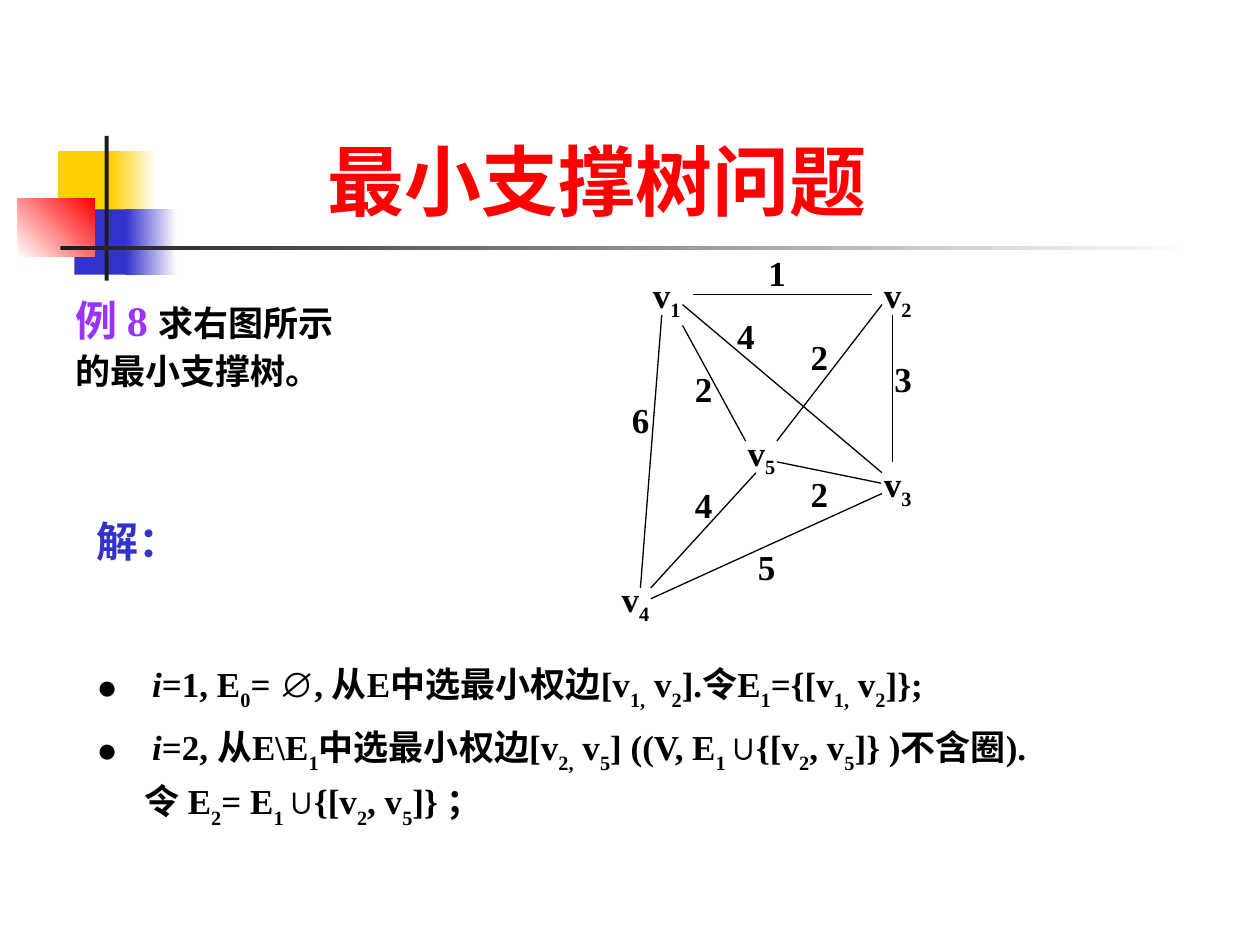
import pptx
import pptx.dml.color
import pptx.enum.shapes
import pptx.enum.text
import pptx.util
from lxml import etree
from pptx.oxml.ns import qn

Cm = pptx.util.Cm
BLACK, YELLOW, BLUE, RED, DARK, WHITE = (
    "000000", "FFCF01", "3333CC", "FF0000", "1C1C1C", "FFFFFF")
PURPLE = "9933FF"
LABEL_SIZE = (1.6, 1.52)

ORNAMENTS = [
    ((1.17, 3.05, 1.22, 1.32), [YELLOW], 0),
    ((2.24, 3.05, 0.91, 1.32), [YELLOW, WHITE], 0),
    ((1.5, 4.22, 1.17, 1.32), [BLUE], 0),
    ((2.54, 4.22, 1.02, 1.32), [BLUE, WHITE], 0),
    ((0.36, 4.01, 1.55, 1.17), [WHITE, RED], 45),
    ((2.11, 2.74, 0.08, 2.92), [DARK], 0),
    ((1.22, 4.95, 22.86, 0.09), [DARK, WHITE], 0),
]

VERTICES = [
    ("1", (12.91, 5.29)),
    ("2", (17.57, 5.29)),
    ("3", (17.57, 9.1)),
    ("4", (12.28, 11.43)),
    ("5", (14.82, 8.47)),
]

EDGES = [
    ("1", (15.24, 4.87), (13.97, 5.93), (17.57, 5.93)),
    ("2", (13.76, 7.2), (13.76, 6.56), (15.03, 8.89)),
    ("3", (17.78, 6.99), (17.99, 6.35), (17.99, 9.31)),
    ("2", (16.09, 9.31), (15.66, 9.31), (17.76, 9.74)),
    ("2", (16.09, 6.56), (17.78, 6.14), (15.66, 8.89)),
    ("6", (12.49, 7.83), (13.34, 6.35), (12.91, 11.85)),
    ("5", (15.03, 10.79), (13.12, 12.07), (17.78, 9.95)),
    ("4", (14.61, 6.14), (13.76, 6.14), (17.78, 9.53)),
    ("4", (13.76, 9.53), (15.24, 9.53), (13.12, 11.85)),
]

ITALIC = {"italic": True}
SUB = {"baseline": -30}
SYMBOL = {"font": "Arial"}

STEP_ONE = [
    ("i", ITALIC), ("=1, E", {}), ("0", SUB), ("= ", {}), ("∅", SYMBOL),
    (", 从E中选最小权边[v", {}), ("1,", SUB), (" v", {}), ("2", SUB),
    ("].令E", {}), ("1", SUB), ("={[v", {}), ("1,", SUB), (" v", {}),
    ("2", SUB), ("]};", {}),
]
UNION = [
    ("1 ", SUB), ("∪", SYMBOL), ("{[v", {}), ("2", SUB), (", v", {}), ("5", SUB),
]
STEP_TWO = [
    ("i", ITALIC), ("=2, 从E\\E", {}), ("1", SUB), ("中选最小权边[v", {}),
    ("2,", SUB), (" v", {}), ("5", SUB), ("] ((V, E", {}),
    *UNION, ("]} )不含圈).", {}),
]
STEP_TWO_RESULT = [("令 E", {}), ("2", SUB), ("= E", {}), *UNION, ("]} ；", {})]


def color(hex_string):
    return pptx.dml.color.RGBColor.from_string(hex_string)


def add_ornament(slide, bounds, colors, angle):
    ornament = slide.shapes.add_shape(
        pptx.enum.shapes.MSO_SHAPE.RECTANGLE, *map(Cm, bounds))
    ornament.shadow.inherit = False
    ornament.line.fill.background()
    if len(colors) == 1:
        ornament.fill.solid()
        ornament.fill.fore_color.rgb = color(colors[0])
        return
    ornament.fill.gradient()
    ornament.fill.gradient_angle = angle
    for stop, hex_string in zip(ornament.fill.gradient_stops, colors):
        stop.color.rgb = color(hex_string)


def format_run(run, size=20, fill=BLACK, font="Times New Roman",
               italic=False, baseline=0):
    run.font.size = pptx.util.Pt(size)
    run.font.bold = True
    run.font.italic = italic
    run.font.name = font
    run.font.color.rgb = color(fill)
    if baseline:
        run.font._element.set("baseline", str(baseline * 1000))


def add_text(shapes, bounds, paragraphs, spacing=1.1):
    frame = shapes.add_textbox(*map(Cm, bounds)).text_frame
    frame.word_wrap = True
    for index, pieces in enumerate(paragraphs):
        paragraph = frame.add_paragraph() if index else frame.paragraphs[0]
        paragraph.line_spacing = spacing
        for words, style in pieces:
            run = paragraph.add_run()
            run.text = words
            format_run(run, **style)
    return frame


def set_indent(paragraph, left, bullet=None):
    properties = paragraph._p.get_or_add_pPr()
    properties.set("marL", str(Cm(left)))
    if bullet:
        properties.set("indent", str(-Cm(left)))
        etree.SubElement(properties, qn("a:buFont"), typeface="Arial")
        etree.SubElement(properties, qn("a:buChar"), char=bullet)


def add_edge(shapes, start, end):
    edge = shapes.add_connector(
        pptx.enum.shapes.MSO_CONNECTOR.STRAIGHT, *map(Cm, start + end))
    edge.line.color.rgb = color(BLACK)
    edge.line.width = pptx.util.Pt(0.75)
    etree.SubElement(edge._element.spPr, qn("a:effectLst"))


def add_graph(slide):
    graph = slide.shapes.add_group_shape().shapes
    for weight, place, start, end in EDGES:
        add_edge(graph, start, end)
        add_text(graph, place + LABEL_SIZE, [[(weight, {})]])
    for number, place in VERTICES:
        add_text(graph, place + LABEL_SIZE,
                 [[("v", {}), (number, {"baseline": -25})]])


def add_title(slide):
    title = add_text(slide.shapes, (6.35, 2.11, 12.27, 2.57),
                     [[("最小支撑树问题", {"size": 44, "fill": RED})]], 1.0)
    title.vertical_anchor = pptx.enum.text.MSO_ANCHOR.BOTTOM


def add_steps(slide):
    first = add_text(slide.shapes, (1.7, 13.13, 22.5, 1.7), [STEP_ONE])
    second = add_text(slide.shapes, (1.7, 14.4, 22.5, 2.34),
                      [STEP_TWO, STEP_TWO_RESULT])
    for step in (first, second):
        set_indent(step.paragraphs[0], 1.12, "●")
    set_indent(second.paragraphs[1], 0.97)


def main():
    presentation = pptx.Presentation()
    presentation.slide_width = Cm(25.4)
    presentation.slide_height = Cm(19.05)
    slide = presentation.slides.add_slide(presentation.slide_layouts[6])
    for bounds, colors, angle in ORNAMENTS:
        add_ornament(slide, bounds, colors, angle)
    add_title(slide)
    add_text(slide.shapes, (1.27, 5.72, 6.99, 2.74), [
        [("例 8 ", {"size": 24, "fill": PURPLE}), ("求右图所示", {})],
        [("的最小支撑树。", {})],
    ])
    add_text(slide.shapes, (1.7, 10.16, 4.45, 1.47),
             [[("解：", {"size": 24, "fill": BLUE})]])
    add_graph(slide)
    add_steps(slide)
    presentation.save("out.pptx")


if __name__ == "__main__":
    main()
